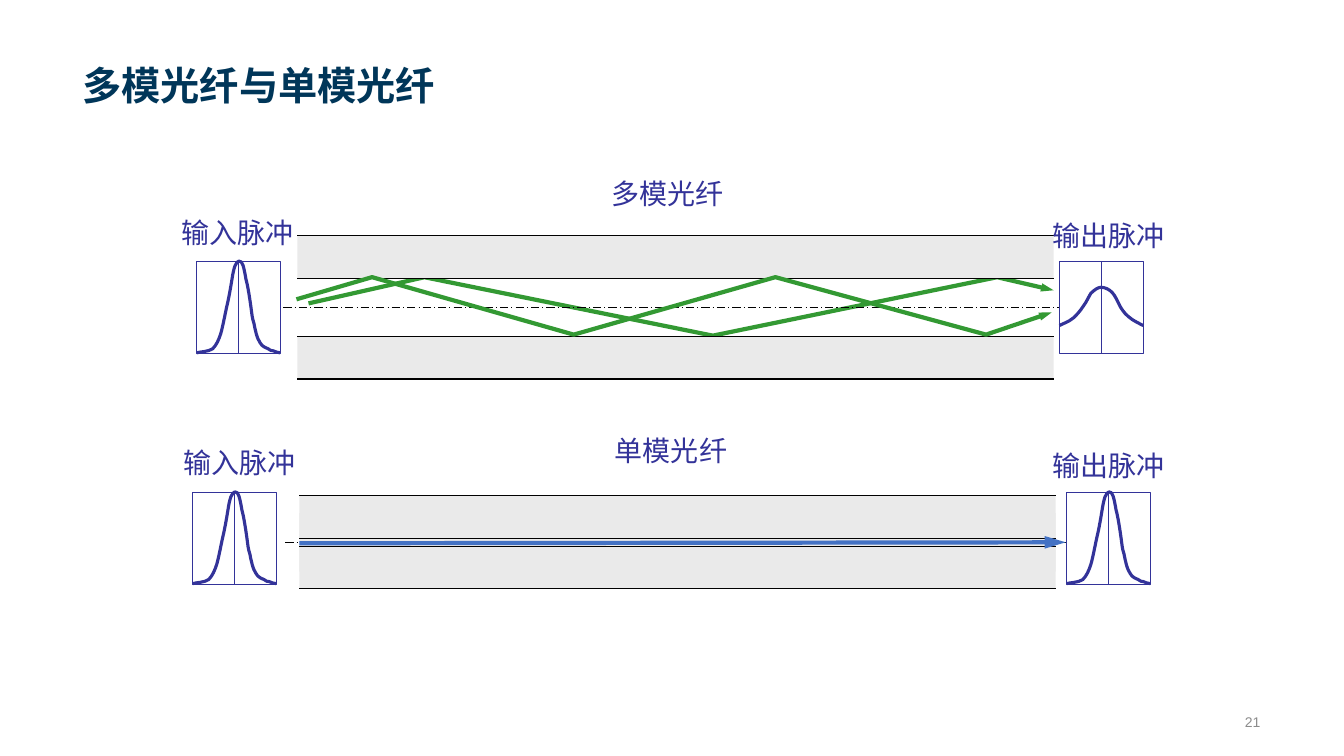
from pptx import Presentation
from pptx.dml.color import RGBColor
from pptx.enum.dml import MSO_LINE
from pptx.enum.shapes import MSO_CONNECTOR, MSO_SHAPE
from pptx.enum.text import MSO_ANCHOR, PP_ALIGN
from pptx.oxml.ns import qn
from pptx.util import Inches, Pt
from lxml.etree import SubElement

NAVY = RGBColor(0x00, 0x36, 0x59)
INDIGO = RGBColor(0x33, 0x33, 0x99)
GREEN = RGBColor(0x33, 0x99, 0x33)
BLUE = RGBColor(0x44, 0x72, 0xC4)
BLACK = RGBColor(0, 0, 0)
WHITE = RGBColor(0xFF, 0xFF, 0xFF)
PALE = RGBColor(0xEA, 0xEA, 0xEA)
GREY = RGBColor(0x8C, 0x8C, 0x8C)

CJK = "Noto Sans CJK SC"
LENGTH, CLAD = 7.5, 0.42
BOX_W, BOX_H = 0.83, 0.92

SHARP = [(0, 91), (3, 90), (12, 90), (16, 87), (20, 83), (22, 78), (24, 72),
         (26, 65), (28, 54), (30, 45), (32, 37), (34, 25), (35, 19),
         (36, 12), (37, 8), (38, 5), (39, 2), (41, 0), (42, 0),
         (44, 0), (45, 1), (46, 4), (47, 7), (48, 12), (49, 18),
         (51, 25), (53, 39), (54, 46), (55, 53), (55, 56), (57, 62),
         (58, 68), (60, 77), (63, 81), (65, 85), (69, 86), (71, 87),
         (74, 89), (74, 89), (76, 89), (78, 90), (81, 91), (83, 91)]
BROAD = [(0, 64), (1, 63), (7, 61), (10, 59), (13, 57), (16, 55), (18, 52),
         (20, 50), (22, 47), (24, 44), (27, 40), (29, 35), (31, 32),
         (34, 29), (38, 26), (41, 26), (45, 26), (49, 28), (52, 31),
         (55, 34), (58, 41), (60, 45), (62, 48), (63, 50), (65, 52),
         (67, 54), (69, 56), (72, 58), (75, 60), (81, 63), (83, 64)]


class Sketch:
    """Draws the parts of the fibre diagram on one slide."""

    def __init__(self, slide):
        """Keep the slide that is drawn on."""
        self.shapes = slide.shapes

    def text(self, words, x, y, w, h, size=20, font=CJK, color=INDIGO,
             bold=False, wrap=False, align=PP_ALIGN.LEFT, anchor=MSO_ANCHOR.TOP):
        """Add a text box with one run."""
        frame = self.shapes.add_textbox(
            Inches(x), Inches(y), Inches(w), Inches(h)).text_frame
        frame.word_wrap = wrap
        frame.vertical_anchor = anchor
        frame.paragraphs[0].alignment = align
        run = frame.paragraphs[0].add_run()
        run.text = words
        run.font.name, run.font.size = font, Pt(size)
        run.font.bold, run.font.color.rgb = bold, color
        SubElement(run.font._element, qn("a:ea"), typeface=font)

    def rect(self, x, y, w, h, fill, edge=None, width=0.5):
        """Add a filled rectangle."""
        shape = self.shapes.add_shape(
            MSO_SHAPE.RECTANGLE, Inches(x), Inches(y), Inches(w), Inches(h))
        shape.shadow.inherit = False
        shape.fill.solid()
        shape.fill.fore_color.rgb = fill
        if edge is None:
            shape.line.fill.background()
        else:
            self.pen(shape, edge, width)

    def pen(self, shape, color, width, head=None):
        """Set the line of a shape and its arrowhead sizes."""
        shape.line.color.rgb = color
        shape.line.width = Pt(width)
        if head:
            SubElement(shape.line._get_or_add_ln(), qn("a:tailEnd"),
                       type="triangle", w=head[0], len=head[1])

    def line(self, x1, y1, x2, y2, color=BLACK, width=0.75, dash=None, head=None):
        """Add a straight line."""
        line = self.shapes.add_connector(
            MSO_CONNECTOR.STRAIGHT, Inches(x1), Inches(y1), Inches(x2), Inches(y2))
        SubElement(line._element.spPr, qn("a:effectLst"))
        if dash:
            line.line.dash_style = dash
        self.pen(line, color, width, head)

    def trace(self, points, color, width, head=None):
        """Add an open outline through the points."""
        spots = [(Inches(x), Inches(y)) for x, y in points]
        build = self.shapes.build_freeform(*spots[0], scale=1.0)
        build.add_line_segments(spots[1:], close=False)
        shape = build.convert_to_shape()
        shape.shadow.inherit = False
        shape.fill.background()
        self.pen(shape, color, width, head)
        return shape

    def curve(self, points, color, width):
        """Add an outline of Bezier curves, three points to each curve."""
        shape = self.trace(points, color, width)
        route = next(shape._element.iter(qn("a:path")))
        steps = route.findall(qn("a:lnTo"))
        for i in range(0, len(steps), 3):
            bend = SubElement(route, qn("a:cubicBezTo"))
            for step in steps[i:i + 3]:
                bend.append(step[0])
                route.remove(step)

    def ray(self, points):
        """Add a light ray with an arrowhead."""
        self.trace(points, GREEN, 3, ("sm", "med"))

    def fibre(self, x, y, core):
        """Add two cladding bands, their edges and the dashed axis."""
        low = y + CLAD + core
        for top in (y, low):
            self.rect(x, top, LENGTH, CLAD, PALE)
        for edge in (y, y + CLAD, low, low + CLAD):
            self.line(x, edge, x + LENGTH, edge)
        axis = y + CLAD + core / 2
        self.line(x - 0.14, axis, x + 7.63, axis, dash=MSO_LINE.LONG_DASH_DOT)

    def pulse(self, x, y, shape, width):
        """Add a boxed pulse with its centre line."""
        mid = x + BOX_W / 2
        self.rect(x, y, BOX_W, BOX_H, WHITE, INDIGO, width)
        self.line(mid, y, mid, y + BOX_H, INDIGO, 0.5)
        self.curve([(x + px / 100, y + py / 100) for px, py in shape],
                   INDIGO, 2.25)


def main():
    """Build and save the slide."""
    deck = Presentation()
    deck.slide_width, deck.slide_height = Inches(13.33), Inches(7.5)
    art = Sketch(deck.slides.add_slide(deck.slide_layouts[6]))

    art.text("21", 8.5, 7.01, 4.1, 0.3, 10, "Arial", GREY, wrap=True,
             align=PP_ALIGN.RIGHT, anchor=MSO_ANCHOR.MIDDLE)
    art.text("多模光纤与单模光纤", 0.72, 0.14, 11.88, 0.98, 28, "Arial", NAVY,
             bold=True, wrap=True, anchor=MSO_ANCHOR.BOTTOM)

    art.rect(2.97, 5.09, LENGTH, 0.58, PALE)
    art.fibre(2.97, 4.92, 0.08)
    art.pulse(1.91, 4.88, SHARP, 0.5)
    art.pulse(10.58, 4.88, SHARP, 0.5)

    art.ray([(3.06, 3.01), (4.21, 2.75), (7.07, 3.33), (9.89, 2.75), (10.45, 2.88)])
    art.fibre(2.95, 2.34, 0.58)
    art.pulse(1.95, 2.59, SHARP, 0.75)
    art.pulse(10.51, 2.59, BROAD, 0.75)
    art.line(2.97, 5.39, 10.57, 5.38, BLUE, 3, head=("med", "lg"))
    art.ray([(2.94, 2.97), (3.69, 2.75), (5.69, 3.32), (7.69, 2.75),
             (9.78, 3.32), (10.43, 3.1)])

    for name, x, y, left, top in (("多模光纤", 5.97, 1.7, 1.7, 2.09),
                                  ("单模光纤", 6, 4.25, 1.72, 4.37)):
        art.text(name, x, y, 1.32, 0.44, font="Lato")
        art.text("输入脉冲", left, top, 1.31, 0.43)
        art.text("输出脉冲", 10.34, top + 0.03, 1.31, 0.43)

    deck.save("out.pptx")


if __name__ == "__main__":
    main()
